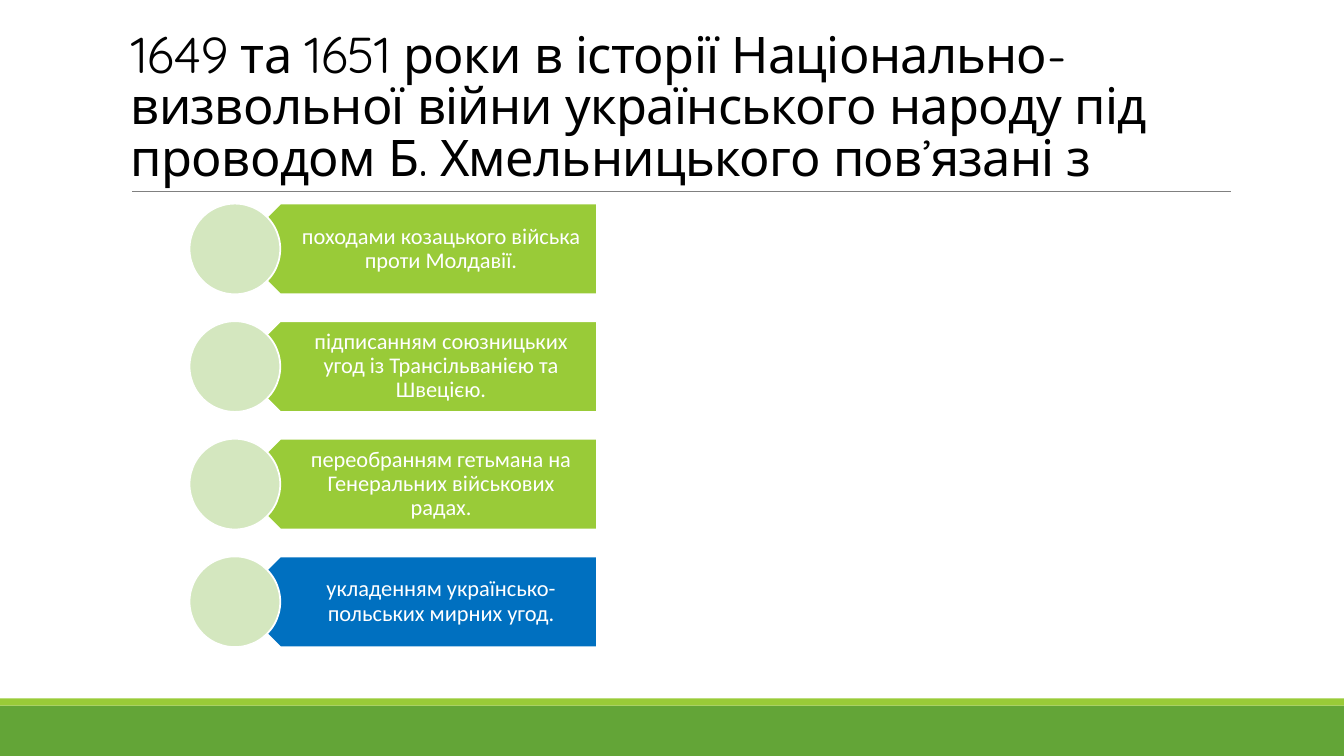
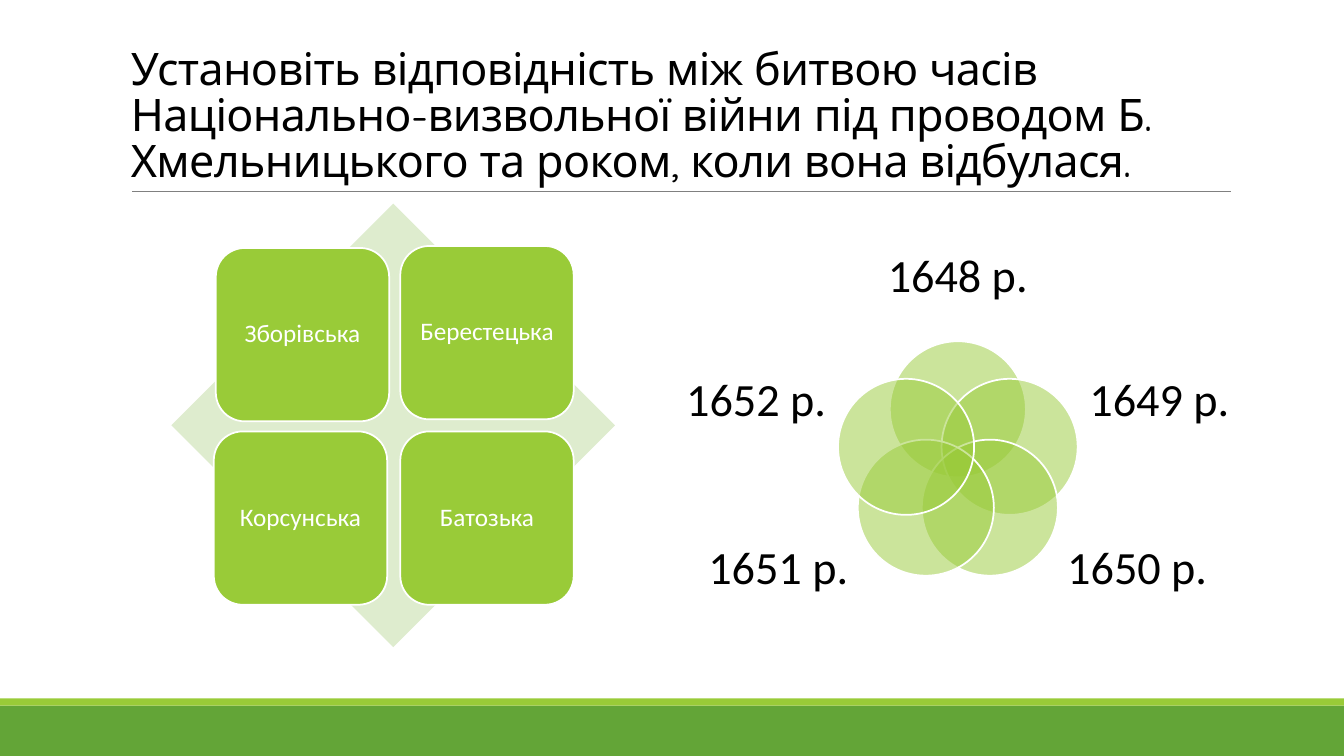
from dataclasses import dataclass
from math import cos, pi, sin

from lxml.etree import SubElement
from pptx import Presentation
from pptx.dml.color import RGBColor
from pptx.enum.shapes import MSO_CONNECTOR, MSO_SHAPE
from pptx.enum.text import MSO_ANCHOR, PP_ALIGN
from pptx.oxml.ns import qn
from pptx.util import Emu, Pt

PX = 9144  # one hundredth of an inch
PAGE_WIDTH, PAGE_HEIGHT = 1333, 750


@dataclass(frozen=True)
class Theme:
    green: str = "99CB38"
    dark_green: str = "63A537"
    disc_green: str = "D4E7BF"
    pale_green: str = "DEECCE"
    blue: str = "0070C0"
    grey: str = "808080"
    white: str = "FFFFFF"
    black: str = "000000"
    title_font: str = "Quicksand"
    body_font: str = "Calibri"
    answer_size: int = 16
    battle_size: int = 18
    year_size: int = 33
    outline: float = 1.25
    rule: float = 0.5


THEME = Theme()

ANSWERS_TITLE = (
    "1649 та 1651 роки в історії Національно-визвольної війни "
    "українського народу під проводом Б. Хмельницького пов’язані з"
)
ANSWERS = [
    ("походами козацького війська проти Молдавії.", THEME.green),
    ("підписанням союзницьких угод із Трансільванією та Швецією.", THEME.green),
    ("переобранням гетьмана на Генеральних військових радах.", THEME.green),
    ("укладенням українсько-польських мирних угод.", THEME.blue),
]

MATCH_TITLE = (
    "Установіть відповідність між битвою часів Національно-визвольної війни "
    "під проводом Б. Хмельницького та роком, коли вона відбулася."
)
# Name, left, top
BATTLES = [
    ("Зборівська", 214, 246),
    ("Берестецька", 397, 244),
    ("Корсунська", 212, 428),
    ("Батозька", 397, 428),
]
# Year, label centre: distance from the flower's axis, height on the page
YEARS = [
    ("1648 р.", 0, 275),
    ("1649 р.", 200, 398),
    ("1650 р.", 178, 565),
    ("1651 р.", -178, 565),
    ("1652 р.", -200, 398),
]


def px(length):
    return Emu(round(length * PX))


def rgb(colour):
    return RGBColor.from_string(colour)


def write(shape, text, *, size, colour, font=THEME.body_font, align=PP_ALIGN.CENTER,
          anchor=MSO_ANCHOR.MIDDLE, insets=(0, 0, 0, 0), line_spacing=0.9, tracking=None):
    frame = shape.text_frame
    frame.word_wrap = True
    frame.vertical_anchor = anchor
    (frame.margin_left, frame.margin_top,
     frame.margin_right, frame.margin_bottom) = map(px, insets)
    para = frame.paragraphs[0]
    para.alignment = align
    para.line_spacing = line_spacing
    span = para.add_run()
    span.text = text
    span.font.name = font
    span.font.size = Pt(size)
    span.font.color.rgb = rgb(colour)
    if tracking is not None:
        span.font._element.set("spc", str(round(tracking * 100)))


def add_text(page, text, left, top, width, height, **text_format):
    box = page.shapes.add_textbox(px(left), px(top), px(width), px(height))
    write(box, text, **text_format)


def add_figure(page, kind, left, top, width, height, fill, *, outlined=True, opacity=None):
    shape = page.shapes.add_shape(kind, px(left), px(top), px(width), px(height))
    shape.shadow.inherit = False
    shape.fill.solid()
    shape.fill.fore_color.rgb = rgb(fill)
    if opacity is not None:
        colour = shape._element.spPr.find(qn("a:solidFill")).find(qn("a:srgbClr"))
        SubElement(colour, qn("a:alpha"), val=str(opacity * 1000))
    if outlined:
        shape.line.color.rgb = rgb(THEME.white)
        shape.line.width = Pt(THEME.outline)
    else:
        shape.line.fill.background()
    return shape


def add_page(deck, title, title_size):
    """Add a page with the shared bands, title and rule."""
    page = deck.slides.add_slide(deck.slide_layouts[6])
    for top, height, fill in [(700, 50, THEME.dark_green), (693, 7, THEME.green)]:
        add_figure(page, MSO_SHAPE.RECTANGLE, 0, top, PAGE_WIDTH, height, fill, outlined=False)
    rule = page.shapes.add_connector(MSO_CONNECTOR.STRAIGHT, px(131), px(190), px(1221), px(190))
    rule.line.color.rgb = rgb(THEME.grey)
    rule.line.width = Pt(THEME.rule)
    SubElement(rule._element.spPr, qn("a:effectLst"))
    add_text(page, title, 120, 31, 1100, 159, size=title_size, colour=THEME.black,
             font=THEME.title_font, align=PP_ALIGN.LEFT, anchor=MSO_ANCHOR.BOTTOM,
             insets=(10, 5, 10, 5), line_spacing=0.85, tracking=-0.5)
    return page


def add_answers(page):
    first_top, last_top, height = 202, 552, 90
    pitch = (last_top - first_top) / (len(ANSWERS) - 1)
    for index, (answer, fill) in enumerate(ANSWERS):
        top = first_top + index * pitch
        arrow = add_figure(page, MSO_SHAPE.PENTAGON, 233, top, 359, height, fill)
        arrow.rotation = 180
        add_text(page, answer, 255, top, 337, height, size=THEME.answer_size,
                 colour=THEME.white, insets=(40, 7, 12, 7))
        add_figure(page, MSO_SHAPE.OVAL, 188, top, height, height, THEME.disc_green)


def add_battles(page):
    add_figure(page, MSO_SHAPE.DIAMOND, 170, 202, 440, 440, THEME.pale_green, outlined=False)
    for battle, left, top in BATTLES:
        tile = add_figure(page, MSO_SHAPE.ROUNDED_RECTANGLE, left, top, 172, 172, THEME.green)
        write(tile, battle, size=THEME.battle_size, colour=THEME.white, insets=(7, 7, 7, 7))


def add_years(page):
    """Draw overlapping petals around one centre, each with its year outside."""
    centre_x, centre_y, radius, petal = 950, 460, 54, 135
    label_width, label_height = 160, 98
    for index, (year, offset, label_y) in enumerate(YEARS):
        angle = 2 * pi * index / len(YEARS)
        add_figure(page, MSO_SHAPE.OVAL,
                   centre_x + radius * sin(angle) - petal / 2,
                   centre_y - radius * cos(angle) - petal / 2,
                   petal, petal, THEME.green, opacity=50)
        add_text(page, year, centre_x + offset - label_width / 2, label_y - label_height / 2,
                 label_width, label_height, size=THEME.year_size, colour=THEME.black)


def main():
    deck = Presentation()
    deck.slide_width, deck.slide_height = px(PAGE_WIDTH), px(PAGE_HEIGHT)
    add_answers(add_page(deck, ANSWERS_TITLE, 36))
    match_page = add_page(deck, MATCH_TITLE, 32)
    add_battles(match_page)
    add_years(match_page)
    deck.save("out.pptx")


if __name__ == "__main__":
    main()
